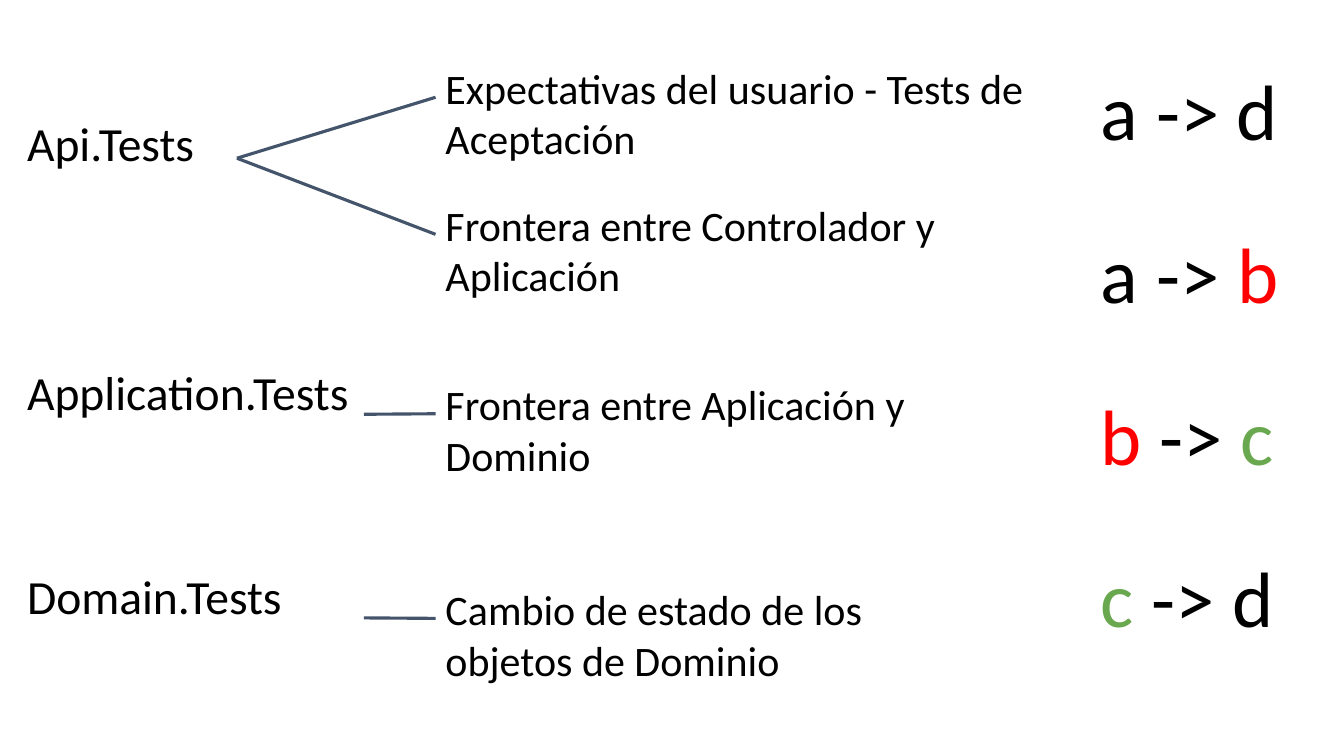
from dataclasses import dataclass

from lxml import etree
from pptx import Presentation
from pptx.dml.color import RGBColor
from pptx.enum.shapes import MSO_CONNECTOR
from pptx.enum.text import MSO_ANCHOR
from pptx.oxml.ns import qn
from pptx.shapes.autoshape import Shape
from pptx.slide import Slide
from pptx.util import Inches, Pt

BLACK = RGBColor(0x00, 0x00, 0x00)
RED = RGBColor(0xFF, 0x00, 0x00)
GREEN = RGBColor(0x6A, 0xA8, 0x4F)
SLATE = RGBColor(0x44, 0x54, 0x6A)

STRAIGHT = MSO_CONNECTOR.STRAIGHT
TOP = MSO_ANCHOR.TOP
LEFT_SIDE, RIGHT_SIDE = 1, 3

PAD = Inches(0.1)
FRAME = {
    "word_wrap": True,
    "vertical_anchor": TOP,
    "margin_left": PAD,
    "margin_top": PAD,
    "margin_right": PAD,
    "margin_bottom": PAD,
}

LAYER_X, GOAL_X, STEP_X = 0.17, 4.32, 10.82
STEP_TOP, STEP_GAP = 0.52, 1.61
FORK = (2.35, 1.57)


@dataclass(frozen=True)
class Goal:
    text: str
    top: float
    width: float


@dataclass(frozen=True)
class Layer:
    name: str
    top: float
    goals: tuple[Goal, ...]


LAYERS = (
    Layer("Api.Tests", 1.03, (
        Goal("Expectativas del usuario - Tests de Aceptación", 0.52, 6.11),
        Goal("Frontera entre Controlador y Aplicación", 1.88, 5.98),
    )),
    Layer("Application.Tests", 3.5, (
        Goal("Frontera entre Aplicación y Dominio", 3.66, 4.88),
    )),
    Layer("Domain.Tests", 5.52, (
        Goal("Cambio de estado de los objetos de Dominio", 5.69, 4.88),
    )),
)

STATES = {"a": BLACK, "b": RED, "c": GREEN, "d": BLACK}
STEPS = ("ad", "ab", "bc", "cd")


def add_text(slide: Slide, box: tuple[float, float, float, float],
             size: int, runs: list[tuple[str, RGBColor]]) -> Shape:
    shape = slide.shapes.add_textbox(*map(Inches, box))
    frame = shape.text_frame
    for key, value in FRAME.items():
        setattr(frame, key, value)
    for text, color in runs:
        run = frame.paragraphs[0].add_run()
        run.text = text
        for key, value in {"name": "Calibri", "size": Pt(size)}.items():
            setattr(run.font, key, value)
        run.font.color.rgb = color
    return shape


def add_link(slide: Slide, layer: Shape, goal: Shape, forked: bool) -> None:
    """Join a layer to a goal, from the shared fork point if it has several."""
    x, y = map(Inches, FORK)
    line = slide.shapes.add_connector(STRAIGHT, x, y, x, y)
    if not forked:
        line.begin_connect(layer, RIGHT_SIDE)
    line.end_connect(goal, LEFT_SIDE)
    line.line.color.rgb = SLATE
    line.line.width = Pt(2.25)
    etree.SubElement(line._element.spPr, qn("a:effectLst"))


def main() -> None:
    deck = Presentation()
    deck.slide_width, deck.slide_height = Inches(13.33), Inches(7.5)
    slide = deck.slides.add_slide(deck.slide_layouts[6])

    for layer in LAYERS:
        name = add_text(slide, (LAYER_X, layer.top, 3.44, 1.22), 34,
                        [(layer.name, BLACK)])
        for goal in layer.goals:
            text = add_text(slide, (GOAL_X, goal.top, goal.width, 0.89), 30,
                            [(goal.text, BLACK)])
            add_link(slide, name, text, len(layer.goals) > 1)

    for row, (start, end) in enumerate(STEPS):
        add_text(slide, (STEP_X, STEP_TOP + row * STEP_GAP, 2.29, 0.69), 56,
                 [(start, STATES[start]), (" -> ", BLACK), (end, STATES[end])])

    deck.save("out.pptx")


if __name__ == "__main__":
    main()
